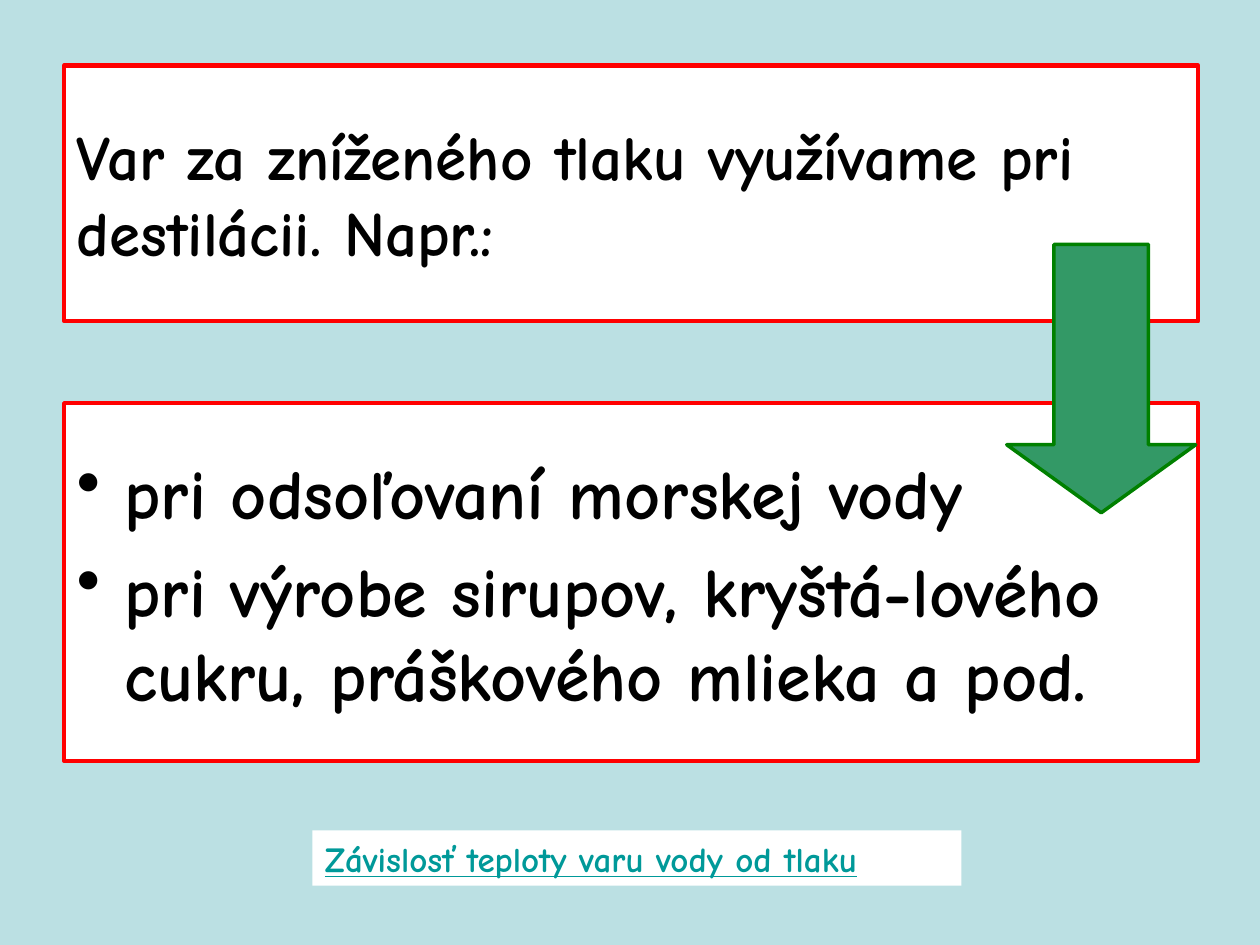
from dataclasses import dataclass

from lxml import etree
from pptx import Presentation
from pptx.dml.color import RGBColor
from pptx.enum.shapes import MSO_SHAPE
from pptx.enum.text import MSO_ANCHOR, PP_ALIGN
from pptx.oxml.ns import qn
from pptx.util import Inches, Pt

RECTANGLE = MSO_SHAPE.RECTANGLE
DOWN_ARROW = MSO_SHAPE.DOWN_ARROW
MIDDLE = MSO_ANCHOR.MIDDLE
LEFT = PP_ALIGN.LEFT

FONT = "Comic Neue"
COLORS = {
    "background": "BBE0E3",
    "panel": "FFFFFF",
    "border": "FF0000",
    "text": "000000",
    "arrow": "339966",
    "arrow_line": "008000",
    "link": "009999",
}


@dataclass
class Panel:
    top: float
    height: float
    lines: list[str]
    size: int
    left: float = 0.51
    width: float = 9
    border: str | None = "border"
    color: str = "text"
    bulleted: bool = False
    underline: bool = False
    wrap: bool = True


PANELS = [
    Panel(0.52, 2.03, ["Var za zníženého tlaku využívame pri destilácii. Napr.:"], 36),
    Panel(3.2, 2.84, ["pri odsoľovaní morskej vody",
                      "pri výrobe sirupov, kryštá-lového cukru, práškového mlieka a pod."],
          40, bulleted=True),
    Panel(6.59, 0.44, ["Závislosť teploty varu vody od tlaku"], 20, left=2.48, width=5.15,
          border=None, color="link", underline=True, wrap=False),
]


def rgb(name: str) -> RGBColor:
    return RGBColor.from_string(COLORS[name])


def add_filled_shape(page, kind, left: float, top: float, width: float, height: float,
                     fill: str, line: str | None, line_width: float):
    shape = page.shapes.add_shape(kind, Inches(left), Inches(top), Inches(width), Inches(height))
    shape.shadow.inherit = False
    shape.fill.solid()
    shape.fill.fore_color.rgb = rgb(fill)
    if line:
        shape.line.color.rgb = rgb(line)
        shape.line.width = Pt(line_width)
    else:
        shape.line.fill.background()
    return shape


def add_bullet(para) -> None:
    properties = para._p.get_or_add_pPr()
    properties.set("marL", str(Inches(0.38)))
    properties.set("indent", str(-Inches(0.38)))
    etree.SubElement(properties, qn("a:buChar")).set("char", "•")


def add_panel(page, panel: Panel) -> None:
    box = add_filled_shape(page, RECTANGLE, panel.left, panel.top, panel.width, panel.height,
                           "panel", panel.border, 2.5)
    frame = box.text_frame
    frame.word_wrap = panel.wrap
    frame.vertical_anchor = MIDDLE
    for index, line in enumerate(panel.lines):
        para = frame.add_paragraph() if index else frame.paragraphs[0]
        para.text = line
        para.alignment = LEFT
        if panel.bulleted:
            add_bullet(para)
        if index:
            para.space_before = Pt(panel.size * 0.2)
        font = para.font
        font.name = FONT
        font.size = Pt(panel.size)
        font.bold = True
        if panel.underline:
            font.underline = True
        font.color.rgb = rgb(panel.color)


def main() -> None:
    deck = Presentation()
    deck.slide_width, deck.slide_height = Inches(10), Inches(7.5)
    page = deck.slides.add_slide(deck.slide_layouts[6])
    page.background.fill.solid()
    page.background.fill.fore_color.rgb = rgb("background")

    for panel in PANELS:
        add_panel(page, panel)
    arrow = add_filled_shape(page, DOWN_ARROW, 7.99, 1.94, 1.5, 2.13, "arrow", "arrow_line", 2)
    arrow.adjustments[0] = 0.5
    arrow.adjustments[1] = 0.36

    deck.save("out.pptx")


if __name__ == "__main__":
    main()
